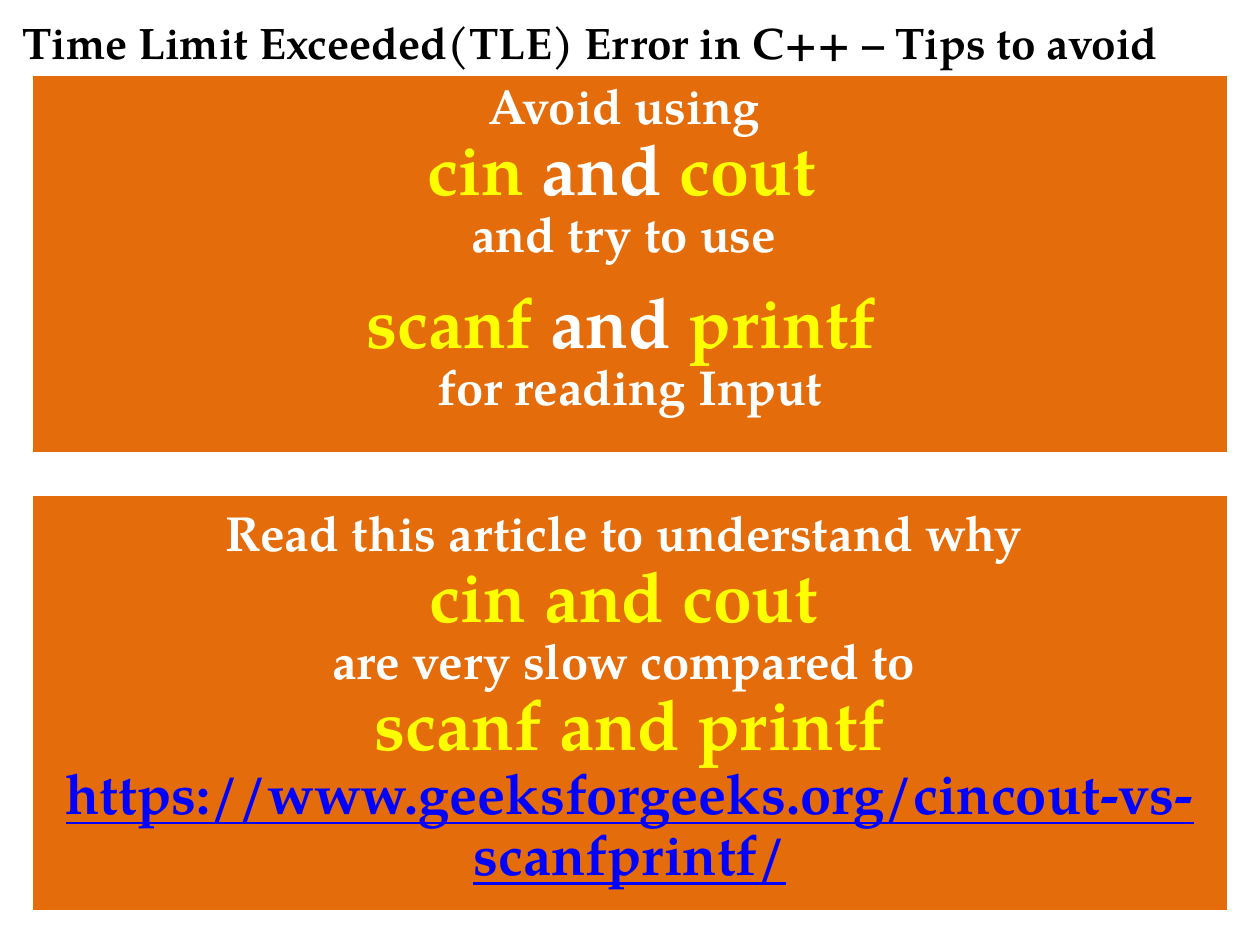
from dataclasses import dataclass

from pptx import Presentation
from pptx import util as u
from pptx.dml.color import RGBColor as Rgb
from pptx.enum import shapes, text


@dataclass(frozen=True)
class Theme:
    face: str = "TeX Gyre Pagella"
    black: Rgb = Rgb(0, 0, 0)
    white: Rgb = Rgb(255, 255, 255)
    yellow: Rgb = Rgb(255, 255, 0)
    blue: Rgb = Rgb(0, 0, 255)
    orange: Rgb = Rgb(0xE4, 0x6C, 0x0A)
    head: float = 25.2
    body: int = 28
    code: int = 40
    link: int = 32


T = Theme()

# Run styles: size, colour, underline
STYLES = {
    "head": (T.head, T.black, False),
    "body": (T.body, T.white, False),
    "code": (T.code, T.yellow, False),
    "and": (T.code, T.white, False),
    "link": (T.link, T.blue, True),
}

TITLE = "Time Limit Exceeded(TLE) Error in C++ – Tips to avoid"

# A panel is a list of paragraphs, a paragraph a list of lines,
# and a line a list of (style, words)
ADVICE = [
    [
        [("body", "Avoid using ")],
        [("code", "cin"), ("and", " and "), ("code", "cout ")],
        [("body", "and try to use ")],
    ],
    [
        [("code", "scanf "), ("and", "and "), ("code", "printf ")],
        [("body", "for reading Input")],
    ],
]
REASON = [
    [
        [("body", "Read this article to understand why ")],
        [("code", "cin and cout"), ("body", " ")],
        [("body", "are very slow compared to ")],
        [("code", "scanf and printf")],
        [("link", "https://www.geeksforgeeks.org/cincout-vs-scanfprintf/")],
    ],
]


def apply(obj, form):
    for key, val in form.items():
        setattr(obj, key, val)


def add_run(para, style, words):
    size, tint, under = STYLES[style]
    run = para.add_run()
    run.text = words
    apply(run.font, {"name": T.face, "size": u.Pt(size),
                     "bold": True, "underline": under})
    run.font.color.rgb = tint


def add_title(slide, box):
    frame = slide.shapes.add_textbox(*map(u.Inches, box)).text_frame
    apply(frame, {"word_wrap": True,
                  "vertical_anchor": text.MSO_ANCHOR.MIDDLE})
    add_run(frame.paragraphs[0], "head", TITLE)


def add_panel(slide, box, paras, top):
    rect = slide.shapes.add_shape(
        shapes.MSO_SHAPE.RECTANGLE, *map(u.Inches, box))
    rect.shadow.inherit = False
    rect.fill.solid()
    rect.fill.fore_color.rgb = T.orange
    rect.line.color.rgb = T.white
    rect.line.width = u.Pt(2)

    frame = rect.text_frame
    pad = u.Inches(0.12)
    apply(frame, {"word_wrap": True, "margin_left": pad,
                  "margin_right": pad, "margin_bottom": pad,
                  "margin_top": u.Inches(top),
                  "vertical_anchor": text.MSO_ANCHOR.TOP})
    for i, lines in enumerate(paras):
        para = frame.add_paragraph() if i else frame.paragraphs[0]
        apply(para, {"alignment": text.PP_ALIGN.CENTER,
                     "line_spacing": 0.9, "space_after": u.Pt(14)})
        for j, line in enumerate(lines):
            if j:
                para.add_line_break()
            for style, words in line:
                add_run(para, style, words)


def main():
    deck = Presentation()
    apply(deck, {"slide_width": u.Inches(10), "slide_height": u.Inches(7.5)})
    slide = deck.slides.add_slide(deck.slide_layouts[6])

    # Heading
    add_title(slide, (0.08, 0.08, 9.67, 0.5))

    # Advice above, reason with its link below
    add_panel(slide, (0.25, 0.59, 9.5, 3.01), ADVICE, 0.06)
    add_panel(slide, (0.25, 3.92, 9.5, 3.32), REASON, 0.12)

    deck.save("out.pptx")


if __name__ == "__main__":
    main()
